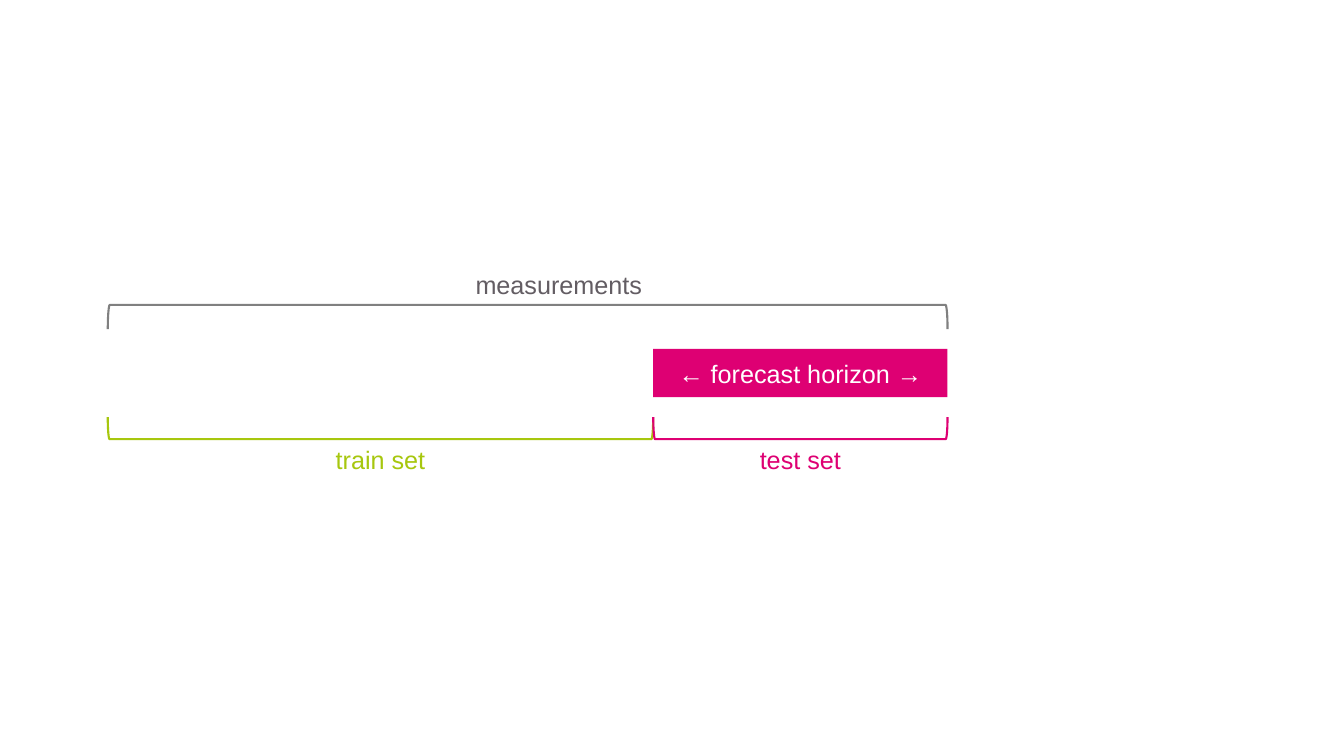
from dataclasses import dataclass

from pptx import Presentation
from pptx.dml.color import RGBColor
from pptx.enum.shapes import MSO_SHAPE
from pptx.enum.text import MSO_ANCHOR, MSO_AUTO_SIZE, PP_ALIGN
from pptx.shapes.autoshape import Shape
from pptx.slide import Slide
from pptx.util import Pt

PINK, GREEN, GRAY, DARK, WHITE = "DE0073", "A7C70E", "808080", "635D63", "FFFFFF"
START, SPLIT, END = 77, 466.6, 676.8
FONT = {"name": "Arial", "size": Pt(18)}
BAR = {"vertical_anchor": MSO_ANCHOR.MIDDLE, "word_wrap": True}
LABEL = {
    "vertical_anchor": MSO_ANCHOR.MIDDLE,
    "word_wrap": False,
    "auto_size": MSO_AUTO_SIZE.SHAPE_TO_FIT_TEXT,
}


@dataclass
class Span:
    text: str
    left: float
    right: float
    mid: float
    depth: float
    turn: int
    line: str
    ink: str
    top: float
    width: float
    shift: float = 0

    @property
    def center(self) -> float:
        return (self.left + self.right) / 2


SPANS = [
    Span("measurements", START, END, 226.4, 17.3, 90, GRAY, DARK, 188.6, 134.6, 22.3),
    Span("train set", START, SPLIT, 305.8, 15.8, 270, GREEN, GREEN, 313.9, 79.2),
    Span("test set", SPLIT, END, 305.8, 15.8, 270, PINK, PINK, 313.9, 73.4),
]


def color(code: str) -> RGBColor:
    return RGBColor.from_string(code)


def apply(item: object, values: dict) -> None:
    for name, value in values.items():
        setattr(item, name, value)


def write(shape: Shape, text: str, ink: str, frame: dict, para: dict) -> None:
    apply(shape.text_frame, frame)
    line = shape.text_frame.paragraphs[0]
    apply(line, {"alignment": PP_ALIGN.CENTER, **para})
    run = line.add_run()
    run.text = text
    apply(run.font, FONT)
    run.font.color.rgb = color(ink)


def draw_bar(slide: Slide) -> None:
    bar = slide.shapes.add_shape(
        MSO_SHAPE.RECTANGLE, Pt(SPLIT), Pt(249.1), Pt(END - SPLIT), Pt(34.6)
    )
    bar.shadow.inherit = False
    bar.fill.solid()
    bar.fill.fore_color.rgb = color(PINK)
    bar.line.fill.background()
    write(bar, "← forecast horizon →", WHITE, BAR, {})


def draw_brace(slide: Slide, span: Span) -> None:
    size = span.right - span.left
    brace = slide.shapes.add_shape(
        MSO_SHAPE.LEFT_BRACKET,
        Pt(span.center - span.depth / 2),
        Pt(span.mid - size / 2),
        Pt(span.depth),
        Pt(size),
    )
    brace.rotation = span.turn
    brace.shadow.inherit = False
    brace.fill.background()
    brace.line.color.rgb = color(span.line)
    brace.line.width = Pt(1.5)


def draw_label(slide: Slide, span: Span) -> None:
    left = span.center + span.shift - span.width / 2
    box = slide.shapes.add_textbox(Pt(left), Pt(span.top), Pt(span.width), Pt(28.8))
    write(box, span.text, span.ink, LABEL, {"space_after": Pt(6)})


def main() -> None:
    deck = Presentation()
    apply(deck, {"slide_width": Pt(960), "slide_height": Pt(540)})
    slide = deck.slides.add_slide(deck.slide_layouts[6])
    draw_bar(slide)
    for draw in (draw_brace, draw_label):
        for span in SPANS:
            draw(slide, span)
    deck.save("out.pptx")


if __name__ == "__main__":
    main()
